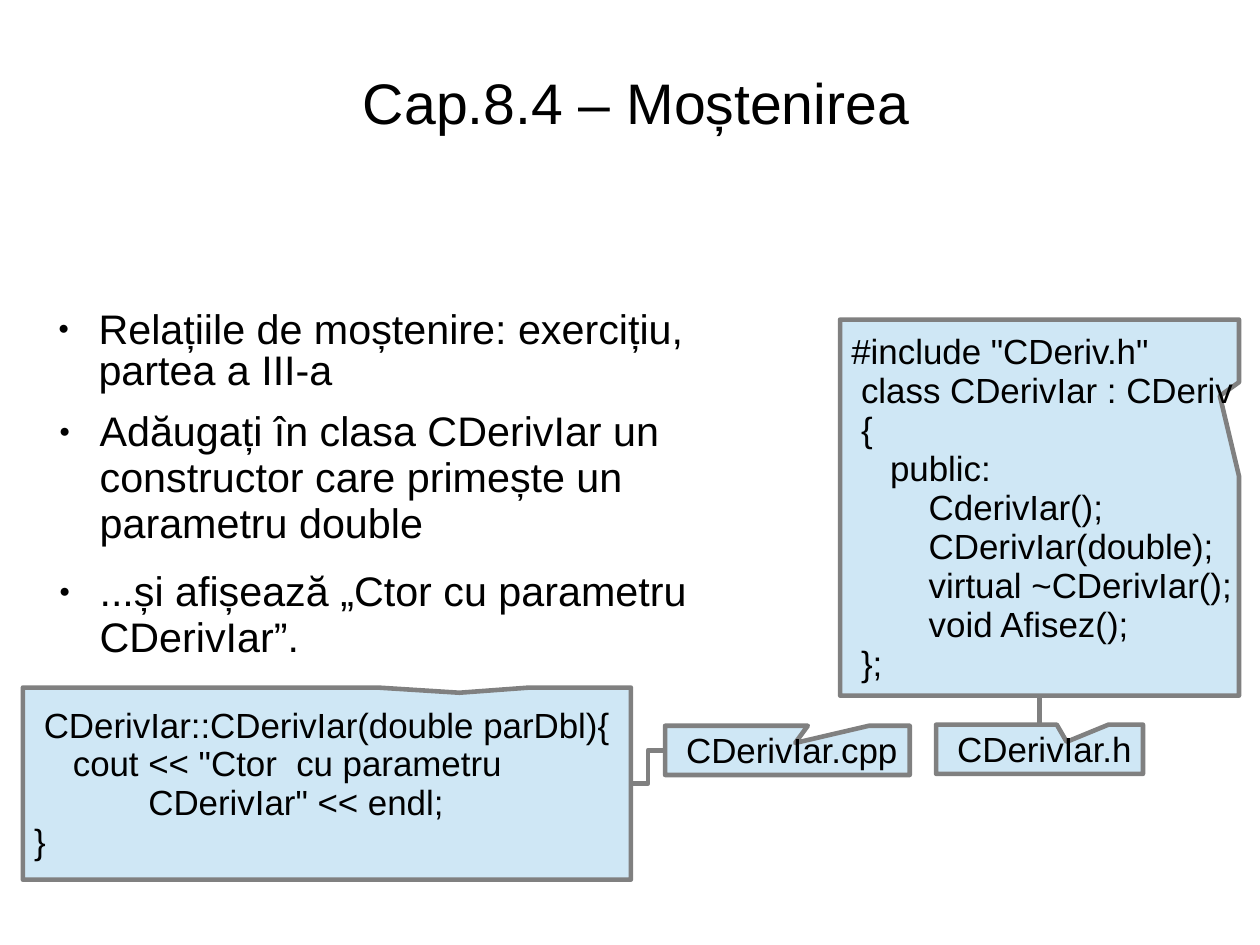
from lxml.etree import SubElement
from pptx import Presentation
from pptx.dml.color import RGBColor
from pptx.enum.shapes import MSO_CONNECTOR, MSO_SHAPE
from pptx.enum.text import MSO_ANCHOR, PP_ALIGN
from pptx.oxml.ns import qn
from pptx.util import Pt

BLACK = RGBColor(0x00, 0x00, 0x00)
GRAY = RGBColor(0x80, 0x80, 0x80)
PALE_BLUE = RGBColor(0xCF, 0xE7, 0xF5)

TOP, LEFT, BOTTOM, RIGHT = range(4)  # connection sites of a callout

CLASS_CODE = """#include "CDeriv.h"
 class CDerivIar : CDeriv
 {
    public:
        CderivIar();
        CDerivIar(double);
        virtual ~CDerivIar();
        void Afisez();
 };"""

CTOR_CODE = """ CDerivIar::CDerivIar(double parDbl){
    cout << "Ctor  cu parametru
\t\tCDerivIar" << endl;
}"""


class SlideBuilder:
    font = "Arial"
    line_width = 2.89
    code_size = 22
    body_size = 26
    tab_stops = (36, 72)

    def __init__(self, slide):
        self.slide = slide

    def set_frame(self, tf, anchor, insets, wrap=True):
        tf.word_wrap = wrap
        tf.vertical_anchor = anchor
        tf.margin_left, tf.margin_top, tf.margin_right, tf.margin_bottom = map(Pt, insets)

    def style(self, p, size, align=PP_ALIGN.LEFT, spacing=0.93):
        p.alignment = align
        p.line_spacing = spacing
        p.space_before = Pt(0)
        for r in p.runs:
            r.font.name = self.font
            r.font.size = Pt(size)
            r.font.color.rgb = BLACK

    def title(self, text, x, y, w, h):
        sp = self.slide.shapes.title
        sp.left, sp.top, sp.width, sp.height = map(Pt, (x, y, w, h))
        tf = sp.text_frame
        tf.text = text
        self.set_frame(tf, MSO_ANCHOR.MIDDLE, (0, 2, 0, 0))
        self.style(tf.paragraphs[0], 36, PP_ALIGN.CENTER)

    def bullets(self, items, x, y, w, h, spacing=0.93):
        tf = self.slide.shapes.add_textbox(*map(Pt, (x, y, w, h))).text_frame
        tf.text = "\n".join(items)
        self.set_frame(tf, MSO_ANCHOR.TOP, (0, 2, 0, 0))
        for p in tf.paragraphs:
            pPr = p._p.get_or_add_pPr()
            pPr.set("marL", str(Pt(34)))
            pPr.set("indent", str(Pt(-25.5)))
            color = SubElement(pPr, qn("a:buClr"))
            SubElement(color, qn("a:srgbClr"), val=str(BLACK))
            SubElement(pPr, qn("a:buSzPct"), val="45000")
            SubElement(pPr, qn("a:buFont"), typeface=self.font)
            SubElement(pPr, qn("a:buChar"), char="●")
            self.style(p, self.body_size, spacing=spacing)
            p.space_after = Pt(14.1)

    def callout(self, text, x, y, w, h, tip, left_inset=7.2):
        sp = self.slide.shapes.add_shape(
            MSO_SHAPE.RECTANGULAR_CALLOUT, *map(Pt, (x, y, w, h)))
        sp.shadow.inherit = False
        sp.adjustments[0], sp.adjustments[1] = tip
        sp.fill.solid()
        sp.fill.fore_color.rgb = PALE_BLUE
        sp.line.color.rgb = GRAY
        sp.line.width = Pt(self.line_width)
        tf = sp.text_frame
        tf.text = text
        self.set_frame(tf, MSO_ANCHOR.MIDDLE, (left_inset, 5, 7.2, 3.6), wrap=False)
        for p in tf.paragraphs:
            tabs = SubElement(p._p.get_or_add_pPr(), qn("a:tabLst"))
            for stop in self.tab_stops:
                SubElement(tabs, qn("a:tab"), pos=str(Pt(stop)), algn="l")
            self.style(p, self.code_size)
        return sp

    def connect(self, kind, start, start_site, end, end_site):
        line = self.slide.shapes.add_connector(kind, 0, 0, 0, 0)
        line.begin_connect(start, start_site)
        line.end_connect(end, end_site)
        line.line.color.rgb = GRAY
        line.line.width = Pt(self.line_width)
        SubElement(line._element.spPr, qn("a:effectLst"))


def main():
    prs = Presentation()
    prs.slide_width, prs.slide_height = Pt(793.7), Pt(595.28)
    s = SlideBuilder(prs.slides.add_slide(prs.slide_layouts[5]))

    s.title("Cap.8.4 – Moștenirea", 26, 20.5, 749.5, 89.3)

    header_label = s.callout("CDerivIar.h", 589.7, 456.5, 130.3, 31,
                             (0.131, -0.15), left_inset=13.3)
    class_box = s.callout(CLASS_CODE, 529.2, 201.3, 251.3, 236.9, (0.452, -0.297))
    source_label = s.callout("CDerivIar.cpp", 419, 457.2, 154.1, 31,
                             (0.032, -0.15), left_inset=13.3)
    ctor_box = s.callout(CTOR_CODE, 14.4, 433.1, 383, 121, (0.218, -0.473))
    s.connect(MSO_CONNECTOR.STRAIGHT, header_label, TOP, class_box, BOTTOM)
    s.connect(MSO_CONNECTOR.ELBOW, source_label, LEFT, ctor_box, RIGHT)

    s.bullets(["Relațiile de moștenire: exercițiu, partea a III-a"],
              28.1, 194.2, 411.1, 58.3, spacing=0.83)
    s.bullets(["Adăugați în clasa CDerivIar un constructor care primește un parametru double",
               "...și afișează „Ctor cu parametru CDerivIar”."],
              28.8, 256, 410.4, 159.8)

    prs.save("out.pptx")


if __name__ == "__main__":
    main()
